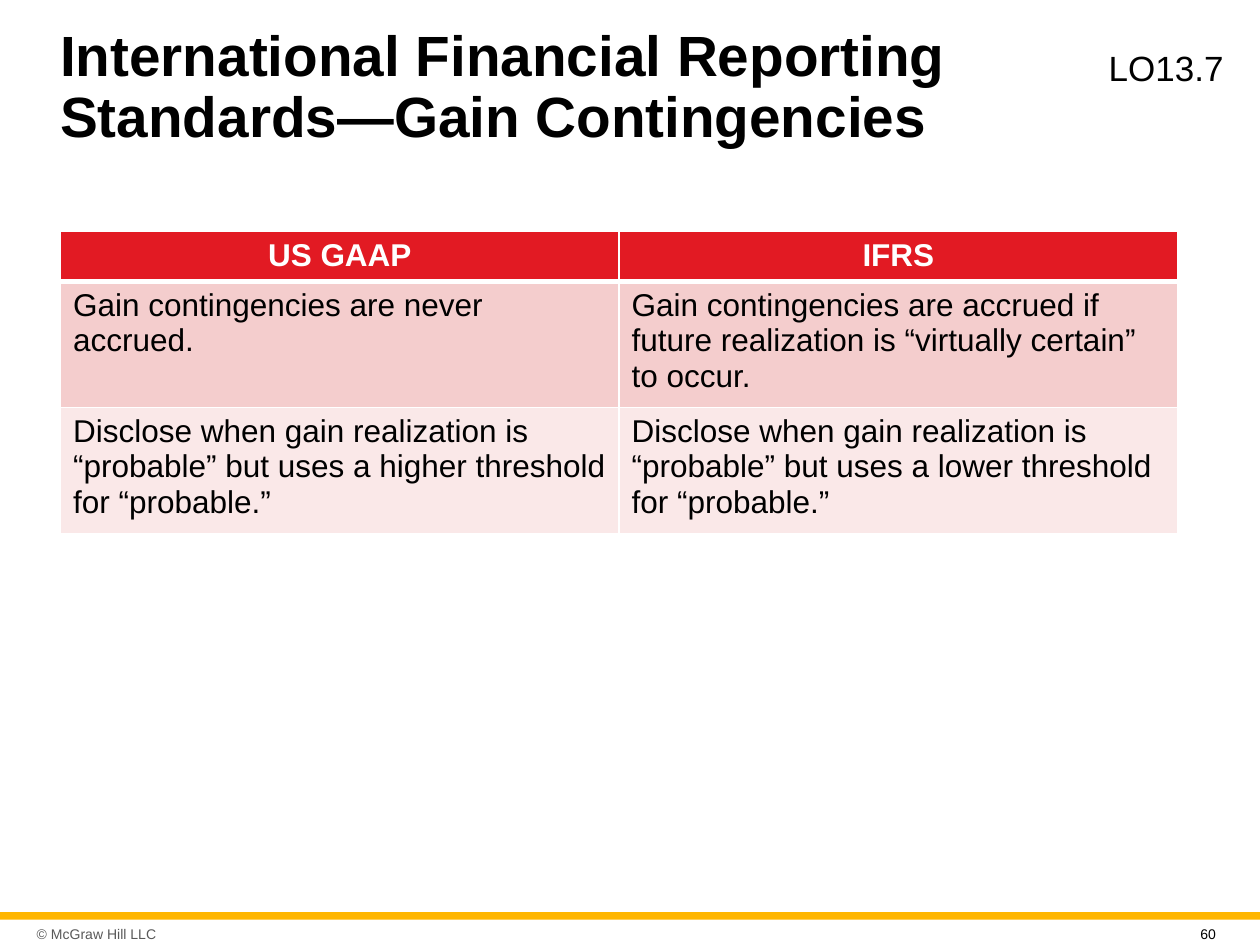
from lxml import etree
from pptx import Presentation
from pptx import util as u
from pptx.dml.color import RGBColor
from pptx.enum import shapes, text
from pptx.oxml.ns import qn

FONT = "Arial"
COLORS = {
    "black": "000000",
    "white": "FFFFFF",
    "gray": "595959",
    "gold": "FFB600",
    "header": "E21A23",
    "odd_row": "F4CDCD",
    "even_row": "FAE8E8",
}
ROWS = [
    ("US GAAP", "IFRS"),
    (
        "Gain contingencies are never accrued.",
        "Gain contingencies are accrued if future realization is “virtually certain” to occur.",
    ),
    (
        "Disclose when gain realization is “probable” but uses a higher threshold for “probable.”",
        "Disclose when gain realization is “probable” but uses a lower threshold for “probable.”",
    ),
]


def color(name):
    return RGBColor.from_string(COLORS[name])


def write(frame, content, size=18, font_color="black", bold=False,
          align=text.PP_ALIGN.LEFT, anchor=None, line_spacing=None):
    frame.word_wrap = True
    if anchor is not None:
        frame.vertical_anchor = anchor
    paragraph = frame.paragraphs[0]
    paragraph.alignment = align
    if line_spacing:
        paragraph.line_spacing = line_spacing
    run = paragraph.add_run()
    run.text = content
    run.font.name = FONT
    run.font.size = u.Pt(size)
    run.font.bold = bold
    run.font.color.rgb = color(font_color)


def add_label(slide, content, left, top, width, height, right_inset=0.25, **style):
    box = slide.shapes.add_textbox(u.Cm(left), u.Cm(top), u.Cm(width), u.Cm(height))
    box.text_frame.margin_right = u.Cm(right_inset)
    write(box.text_frame, content, **style)
    return box


def set_title(slide, content):
    title = slide.shapes.title
    title.left, title.top = u.Cm(0.96), u.Cm(0.53)
    title.width, title.height = u.Cm(20.5), u.Cm(2.52)
    title.text_frame.auto_size = text.MSO_AUTO_SIZE.NONE
    write(title.text_frame, content, size=32.4, bold=True, line_spacing=0.9,
          anchor=text.MSO_ANCHOR.MIDDLE)


def set_borders(cell, widths):
    properties = cell._tc.get_or_add_tcPr()
    for index, (side, width) in enumerate(widths.items()):
        line = etree.Element(qn(f"a:ln{side}"), w=str(u.Pt(width)))
        fill = etree.SubElement(line, qn("a:solidFill"))
        etree.SubElement(fill, qn("a:srgbClr"), val=COLORS["white"])
        properties.insert(index, line)


def add_comparison_table(slide, rows):
    frame = slide.shapes.add_table(len(rows), len(rows[0]), u.Cm(1.22), u.Cm(4.66),
                                   u.Cm(22.52), u.Cm(5.73))
    table = frame.table
    for row_index, row in enumerate(rows):
        is_header = row_index == 0
        table.rows[row_index].height = u.Cm(0.97 if is_header else 2.38)
        fill = "header" if is_header else ("odd_row" if row_index % 2 else "even_row")
        for column_index, content in enumerate(row):
            cell = table.cell(row_index, column_index)
            cell.fill.solid()
            cell.fill.fore_color.rgb = color(fill)
            write(cell.text_frame, content, bold=is_header,
                  font_color="white" if is_header else "black",
                  align=text.PP_ALIGN.CENTER if is_header else text.PP_ALIGN.LEFT)
            set_borders(cell, {"L": 1, "R": 1,
                               "T": 3 if row_index == 1 else 1,
                               "B": 3 if is_header else 1})


def add_bar(slide, left, top, width, height, fill):
    bar = slide.shapes.add_shape(shapes.MSO_SHAPE.RECTANGLE, u.Cm(left), u.Cm(top),
                                 u.Cm(width), u.Cm(height))
    bar.shadow.inherit = False
    bar.fill.solid()
    bar.fill.fore_color.rgb = color(fill)
    bar.line.fill.background()


def main():
    presentation = Presentation()
    presentation.slide_width, presentation.slide_height = u.Cm(25.4), u.Cm(19.05)
    slide = presentation.slides.add_slide(presentation.slide_layouts[5])

    # Footer band and copyright
    add_bar(slide, 0, 18.39, 25.4, 0.15, "gold")
    copyright_label = add_label(slide, "© McGraw Hill LLC", 0.61, 18.52, 3.43, 0.6,
                                size=8, font_color="gray", anchor=text.MSO_ANCHOR.MIDDLE)
    copyright_label.text_frame.margin_left = u.Cm(0.13)

    # Title and learning objective
    set_title(slide, "International Financial Reporting Standards—Gain Contingencies")
    add_label(slide, "LO13.7", 22.1, 0.81, 2.95, 1.04, right_inset=0, size=20,
              align=text.PP_ALIGN.JUSTIFY)

    # Comparison of the two standards
    add_comparison_table(slide, ROWS)

    # Slide number
    add_label(slide, "60", 23.95, 18.54, 1, 0.46, size=8)

    presentation.save("out.pptx")


if __name__ == "__main__":
    main()
